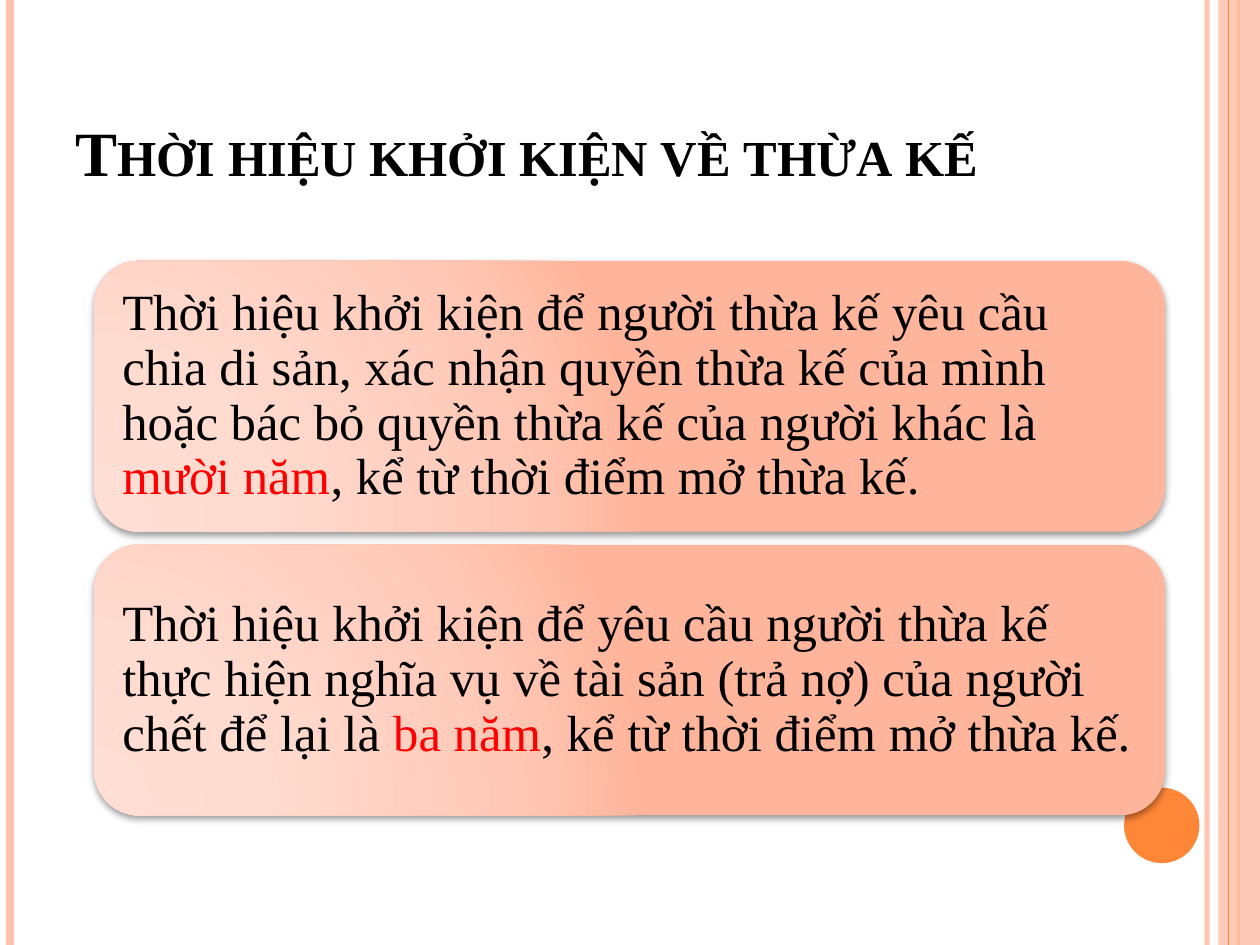
from lxml import etree
from pptx import Presentation
from pptx.dml.color import RGBColor
from pptx.enum.shapes import MSO_CONNECTOR, MSO_SHAPE
from pptx.enum.text import MSO_ANCHOR, PP_ALIGN
from pptx.oxml import parse_xml
from pptx.oxml.ns import qn
from pptx.util import Cm, Pt

STRAIGHT = MSO_CONNECTOR.STRAIGHT
RECTANGLE = MSO_SHAPE.RECTANGLE
ROUNDED = MSO_SHAPE.ROUNDED_RECTANGLE
OVAL = MSO_SHAPE.OVAL
LEFT = PP_ALIGN.LEFT
BOTTOM, MIDDLE = MSO_ANCHOR.BOTTOM, MSO_ANCHOR.MIDDLE

FONT = "Times New Roman"
BLACK, RED, ORANGE, PEACH = "000000", "FF0000", "FE8637", "FEC3AE"
NAMESPACE = 'xmlns:a="http://schemas.openxmlformats.org/drawingml/2006/main"'
CARD_STOPS = [(0, "FFDED5"), (30, "FFDBD0"), (75, "FFC8B6"), (100, "FFB59B")]
CARD_TEXTS = [
    (
        "Thời hiệu khởi kiện để người thừa kế yêu cầu chia di sản, xác nhận quyền "
        "thừa kế của mình hoặc bác bỏ quyền thừa kế của người khác là ",
        "mười năm",
        ", kể từ thời điểm mở thừa kế.",
    ),
    (
        "Thời hiệu khởi kiện để yêu cầu người thừa kế thực hiện nghĩa vụ về tài sản "
        "(trả nợ) của người chết để lại là ",
        "ba năm",
        ", kể từ thời điểm mở thừa kế.",
    ),
]


def color(value):
    """Turn a hex string into a colour."""
    return RGBColor.from_string(value)


def set_opacity(properties, percent):
    """Make the first solid colour below the given element translucent."""
    target = next(properties.iter(qn("a:srgbClr")))
    etree.SubElement(target, qn("a:alpha"), val=str(percent * 1000))


def add_stripe(slide, x, height, value, width, opacity=100):
    """Draw a vertical line from the top of the slide."""
    stripe = slide.shapes.add_connector(STRAIGHT, Cm(x), 0, Cm(x), Cm(height))
    stripe.line.color.rgb = color(value)
    stripe.line.width = Pt(width)
    if opacity < 100:
        set_opacity(stripe.line._get_or_add_ln(), opacity)
    etree.SubElement(stripe._element.spPr, qn("a:effectLst"))


def add_plain_shape(slide, kind, left, top, width, height, value):
    """Add a filled shape without outline or shadow."""
    shape = slide.shapes.add_shape(kind, Cm(left), Cm(top), Cm(width), Cm(height))
    shape.shadow.inherit = False
    shape.fill.solid()
    shape.fill.fore_color.rgb = color(value)
    shape.line.fill.background()
    return shape


def add_frame(slide, width, height):
    """Decorate the side edges of the slide."""
    add_stripe(slide, width - 1.07, height, PEACH, 3, 93)
    add_stripe(slide, 0.2, height, PEACH, 4.5)
    add_stripe(slide, width - 0.43, height, ORANGE, 1.5)
    band = add_plain_shape(slide, RECTANGLE, width - 0.84, 0, 0.84, height, PEACH)
    set_opacity(band._element.spPr, 87)
    add_stripe(slide, width - 0.63, height, ORANGE, 0.75)
    add_plain_shape(slide, OVAL, width - 2.74, height - 3.17, 1.52, 1.52, ORANGE)


def add_title(slide, left, top, width, height, text):
    """Place and format the title placeholder."""
    title = slide.shapes.title
    title.left, title.top = Cm(left), Cm(top)
    title.width, title.height = Cm(width), Cm(height)
    title.text_frame.vertical_anchor = BOTTOM
    paragraph = title.text_frame.paragraphs[0]
    paragraph.alignment = LEFT
    run = paragraph.add_run()
    run.text = text
    run.font.name, run.font.size, run.font.bold = FONT, Pt(36), True
    run.font.color.rgb = color(BLACK)
    run._r.get_or_add_rPr().set("cap", "small")


def style_card(shape):
    """Give a card its radial gradient and soft shadow."""
    stops = "".join(
        f'<a:gs pos="{position * 1000}"><a:srgbClr val="{value}"/></a:gs>'
        for position, value in CARD_STOPS
    )
    gradient = parse_xml(
        f'<a:gradFill {NAMESPACE} rotWithShape="1"><a:gsLst>{stops}</a:gsLst>'
        '<a:path path="circle"><a:fillToRect l="5000" t="100000" r="120000" '
        'b="10000"/></a:path></a:gradFill>'
    )
    properties = shape._element.spPr
    properties.replace(properties.find(qn("a:solidFill")), gradient)
    shadow = parse_xml(
        f'<a:outerShdw {NAMESPACE} blurRad="{Pt(4)}" dist="{Pt(2)}" dir="5400000" '
        f'rotWithShape="0"><a:srgbClr val="{BLACK}"><a:alpha val="40000"/>'
        "</a:srgbClr></a:outerShdw>"
    )
    properties.find(qn("a:effectLst")).append(shadow)


def add_card(slide, left, top, width, height, texts):
    """Add a rounded card whose middle run is highlighted."""
    card = add_plain_shape(slide, ROUNDED, left, top, width, height, PEACH)
    style_card(card)
    frame = card.text_frame
    frame.word_wrap = True
    frame.vertical_anchor = MIDDLE
    frame.margin_left = frame.margin_right = Cm(0.3)
    frame.margin_top = frame.margin_bottom = Cm(0.3)
    paragraph = frame.paragraphs[0]
    paragraph.alignment = LEFT
    paragraph.line_spacing = 0.9
    paragraph.font.name, paragraph.font.size = FONT, Pt(29)
    for text, value in zip(texts, (BLACK, RED, BLACK)):
        run = paragraph.add_run()
        run.text = text
        run.font.color.rgb = color(value)


def add_cards(slide, left, top, width, height, gap=0.26):
    """Stack the cards evenly in the given box."""
    card_height = (height + gap) / len(CARD_TEXTS) - gap
    for index, texts in enumerate(CARD_TEXTS):
        card_top = top + index * (card_height + gap)
        add_card(slide, left, card_top, width, card_height, texts)


def main():
    """Build and save the presentation."""
    width, height = 25.4, 19.05
    presentation = Presentation()
    presentation.slide_width, presentation.slide_height = Cm(width), Cm(height)
    slide = presentation.slides.add_slide(presentation.slide_layouts[5])
    add_frame(slide, width, height)
    add_title(slide, 1.27, 0.76, 20.75, 3.18, "Thời hiệu khởi kiện về thừa kế")
    add_cards(slide, 1.9, 5.26, 21.59, 11.18)
    presentation.save("out.pptx")


if __name__ == "__main__":
    main()
